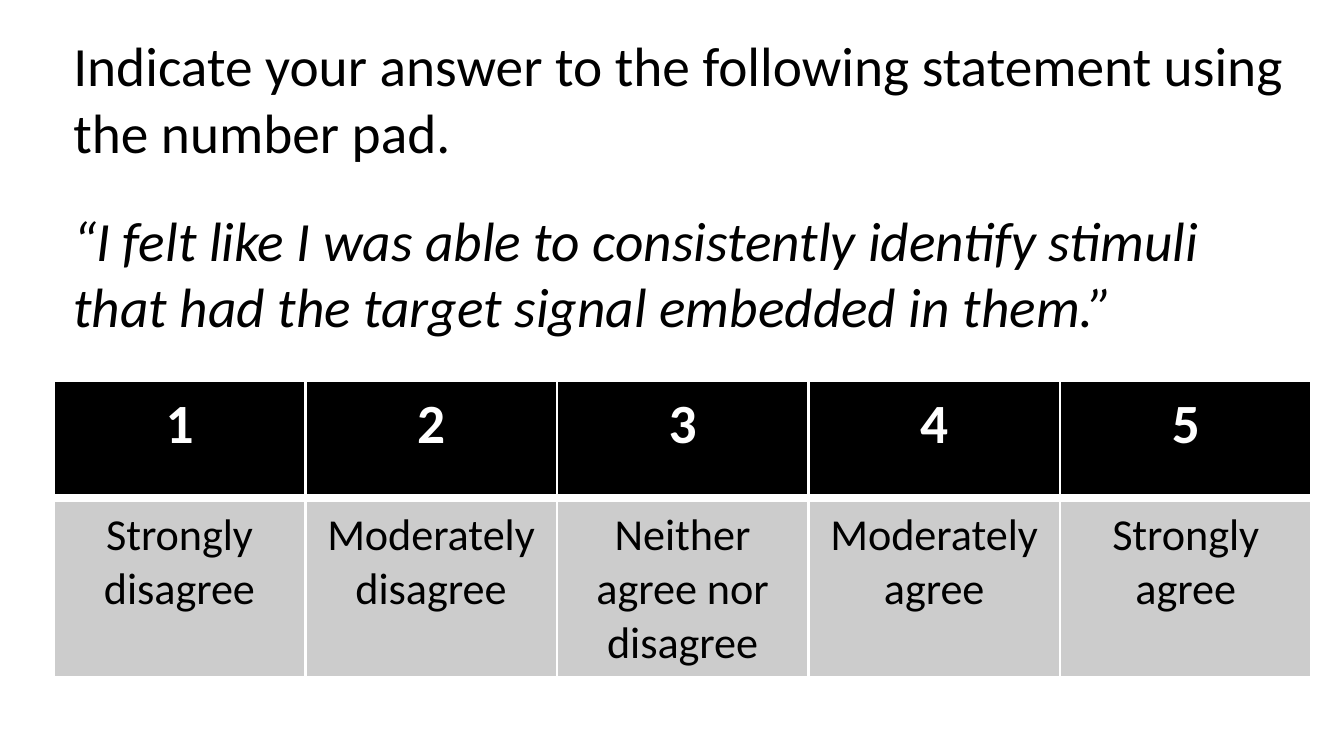
from dataclasses import dataclass
from lxml import etree
from pptx import Presentation
from pptx.dml.color import RGBColor
from pptx.enum.text import MSO_AUTO_SIZE, PP_ALIGN
from pptx.oxml.ns import qn
from pptx.util import Inches, Pt

CENTER = PP_ALIGN.CENTER
GROW = MSO_AUTO_SIZE.SHAPE_TO_FIT_TEXT
GRID_COLS, GRID_ROWS = 25, 75


@dataclass(frozen=True)
class Theme:
    font: str = "Calibri"
    black: str = "000000"
    white: str = "FFFFFF"
    grey: str = "CCCCCC"
    large: int = 20
    small: int = 16
    gap: int = 15
    thin: int = 1
    thick: int = 3


class Deck:
    def __init__(self, theme, width, height):
        self.theme = theme
        self.prs = Presentation()
        self.prs.slide_width, self.prs.slide_height = Inches(width), Inches(height)
        self.s = self.prs.slides.add_slide(self.prs.slide_layouts[6])

    def x(self, cols):
        return round(self.prs.slide_width * cols / GRID_COLS)

    def y(self, rows):
        return round(self.prs.slide_height * rows / GRID_ROWS)

    def run(self, p, text, color, **formats):
        r = p.add_run()
        r.text = text
        r.font.color.rgb = RGBColor.from_string(color)
        for name, value in {"name": self.theme.font, **formats}.items():
            setattr(r.font, name, value)

    def text(self, left, top, width, height, paragraphs):
        sp = self.s.shapes.add_textbox(self.x(left), self.y(top), self.x(width), self.y(height))
        tf = sp.text_frame
        tf.word_wrap = True
        tf.auto_size = GROW
        for i, (text, italic) in enumerate(paragraphs):
            p = tf.add_paragraph() if i else tf.paragraphs[0]
            p.space_before = Pt(self.theme.gap if i else 0)
            self.run(p, text, self.theme.black, size=Pt(self.theme.large), italic=italic)

    def borders(self, cell, widths):
        tc_pr = cell._tc.get_or_add_tcPr()
        for i, (side, width) in enumerate(widths.items()):
            ln = etree.Element(qn(f"a:ln{side}"), w=str(Pt(width)))
            fill = etree.SubElement(ln, qn("a:solidFill"))
            etree.SubElement(fill, qn("a:srgbClr"), val=self.theme.white)
            tc_pr.insert(i, ln)

    def table(self, left, top, col_width, row_heights, rows, styles):
        n = len(rows[0])
        frame = self.s.shapes.add_table(
            len(rows), n, self.x(left), self.y(top),
            self.x(col_width * n), self.y(sum(row_heights)))
        table = frame.table
        for col in table.columns:
            col.width = self.x(col_width)
        for row, height, texts, style in zip(table.rows, row_heights, rows, styles):
            row.height = self.y(height)
            for cell, text in zip(row.cells, texts):
                cell.fill.solid()
                cell.fill.fore_color.rgb = RGBColor.from_string(style["fill"])
                self.borders(cell, style["borders"])
                p = cell.text_frame.paragraphs[0]
                p.alignment = CENTER
                self.run(p, text, **style["text"])


def main():
    theme = Theme()
    deck = Deck(theme, 6.75, 3.75)
    deck.text(1, 2.2, 23.4, 33.2, [
        ("Indicate your answer to the following statement using the number pad.", False),
        ("“I felt like I was able to consistently identify stimuli that had the target "
         "signal embedded in them.”", True),
    ])
    labels = ["Strongly disagree", "Moderately disagree", "Neither agree nor disagree",
              "Moderately agree", "Strongly agree"]
    numbers = [str(i) for i in range(1, len(labels) + 1)]
    thin = dict.fromkeys("LRTB", theme.thin)
    header = {"fill": theme.black, "borders": {**thin, "B": theme.thick},
              "text": {"color": theme.white, "size": Pt(theme.large), "bold": True}}
    body = {"fill": theme.grey, "borders": {**thin, "T": theme.thick},
            "text": {"color": theme.black, "size": Pt(theme.small), "bold": False}}
    deck.table(1, 38.2, 4.68, [11.8, 17.2], [numbers, labels], [header, body])
    deck.prs.save("out.pptx")


if __name__ == "__main__":
    main()
